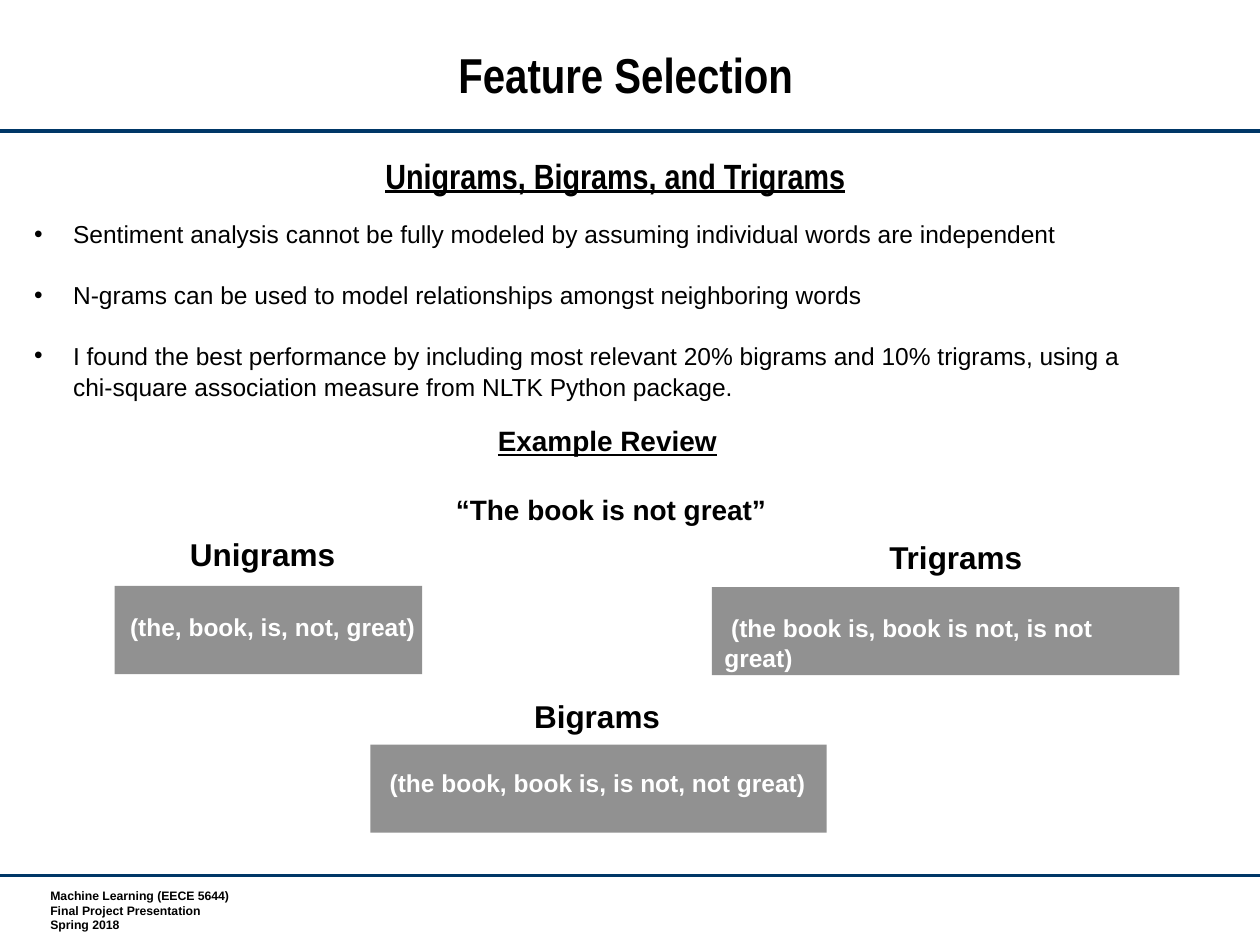
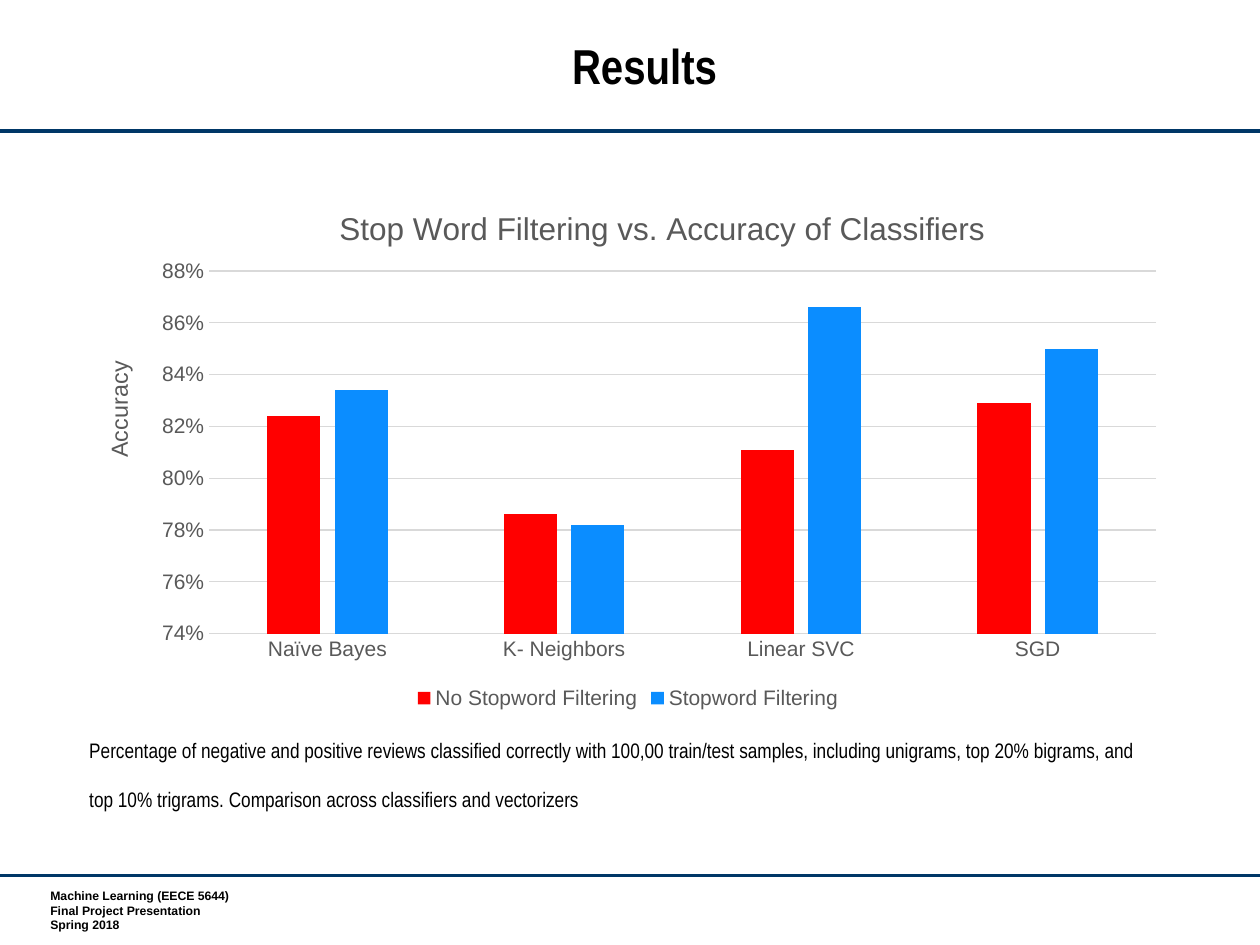
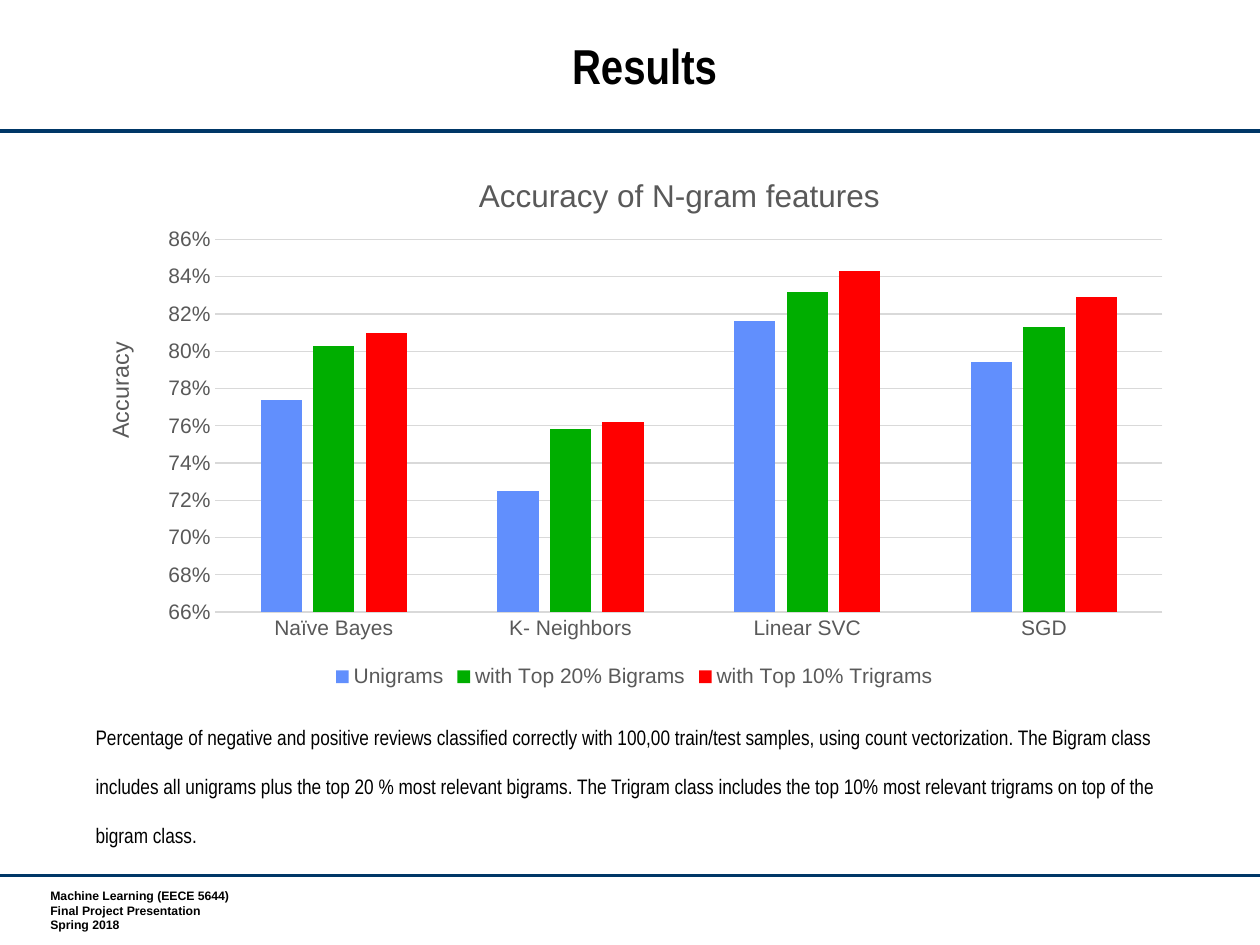
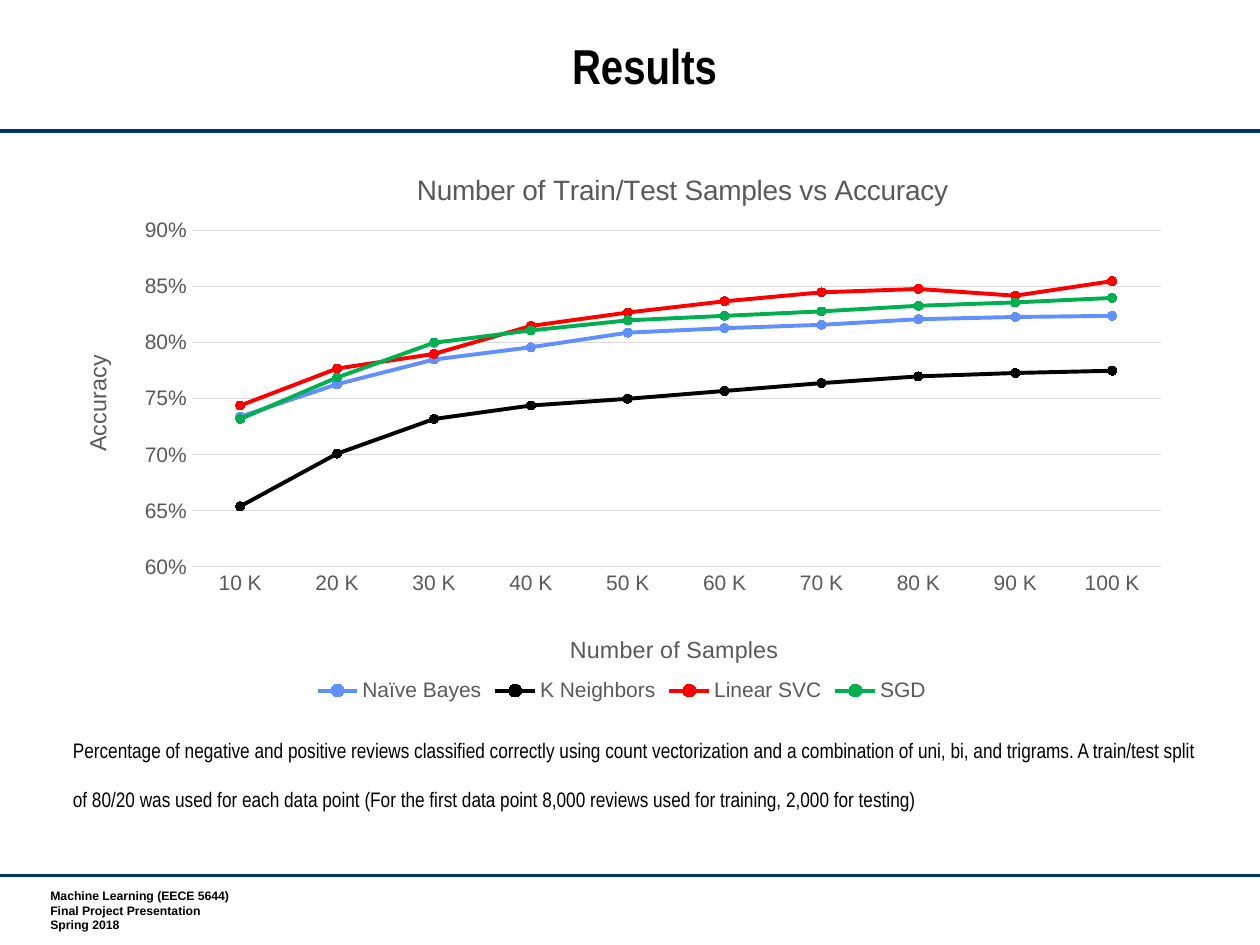
from lxml import etree
from pptx import Presentation
from pptx.chart.data import CategoryChartData
from pptx.dml.color import RGBColor
from pptx.enum.chart import XL_CHART_TYPE, XL_LEGEND_POSITION, XL_MARKER_STYLE, XL_TICK_MARK
from pptx.enum.shapes import MSO_CONNECTOR, MSO_SHAPE
from pptx.enum.text import MSO_ANCHOR, MSO_AUTO_SIZE, PP_ALIGN
from pptx.oxml.ns import qn
from pptx.util import Inches, Pt

BARS = XL_CHART_TYPE.COLUMN_CLUSTERED
LINES = XL_CHART_TYPE.LINE_MARKERS
BOTTOM = XL_LEGEND_POSITION.BOTTOM
ROUND = XL_MARKER_STYLE.CIRCLE
NO_TICK = XL_TICK_MARK.NONE
STRAIGHT = MSO_CONNECTOR.STRAIGHT
RECT = MSO_SHAPE.RECTANGLE
TOP, MIDDLE = MSO_ANCHOR.TOP, MSO_ANCHOR.MIDDLE
NO_FIT = MSO_AUTO_SIZE.NONE
LEFT, CENTER = PP_ALIGN.LEFT, PP_ALIGN.CENTER

HEX = {"navy": "003767", "black": "000000", "white": "FFFFFF", "box": "919191",
       "text": "595959", "grid": "D9D9D9", "red": "FF0000", "sky": "0B8DFF",
       "blue": "618FFD", "lime": "00AE00", "green": "00B050"}
SANS, NARROW = "Arial", "Arial Narrow"
TALL = {"line_spacing": Pt(28)}


def color(key):
    return RGBColor.from_string(HEX[key])


def put(item, values):
    for name, value in values.items():
        setattr(item, name, value)


def ink(font, size, key="black", name=SANS, **more):
    put(font, {"size": Pt(size), "name": name, "bold": False, **more})
    font.color.rgb = color(key)


def layout(node, index, frame, spot, inner=False):
    for old in node.findall(qn("c:layout")):
        node.remove(old)
    outer = etree.Element(qn("c:layout"))
    node.insert(index, outer)
    man = etree.SubElement(outer, qn("c:manualLayout"))
    left, top, width, height = frame
    values = {"xMode": "edge", "yMode": "edge",
              "x": (spot[0] - left) / width, "y": (spot[1] - top) / height}
    if inner:
        values = {"layoutTarget": "inner", **values,
                  "w": spot[2] / width, "h": spot[3] / height}
    for tag, value in values.items():
        text = value if isinstance(value, str) else f"{value:.3f}"
        etree.SubElement(man, qn("c:" + tag)).set("val", text)


class Deck:
    def __init__(self):
        self.prs = Presentation()
        put(self.prs, {"slide_width": Inches(10), "slide_height": Inches(7.5)})
        self.slide = None

    def start(self, title, spot, kind=5):
        self.slide = self.prs.slides.add_slide(self.prs.slide_layouts[kind])
        self.fill(self.slide.shapes.title, spot, [title], 28, anchor=MIDDLE,
                  para={"alignment": CENTER, **TALL}, name=NARROW, bold=True)

    def share(self, shape):
        self.prs.slide_master.shapes.element.append(shape.element)

    def rule(self, y):
        line = self.slide.shapes.add_connector(
            STRAIGHT, Inches(0), Inches(y), Inches(10), Inches(y))
        line.line.color.rgb = color("navy")
        line.line.width = Pt(1.75)
        etree.SubElement(line.element.spPr, qn("a:effectLst"))
        return line

    def fill(self, shape, spot, lines, size, anchor=TOP, wrap=True, para=None, **font):
        put(shape, dict(zip(("left", "top", "width", "height"), map(Inches, spot))))
        frame = shape.text_frame
        put(frame, {"word_wrap": wrap, "auto_size": NO_FIT, "vertical_anchor": anchor})
        for i, line in enumerate(lines):
            item = frame.paragraphs[0] if i == 0 else frame.add_paragraph()
            put(item, {"alignment": LEFT, "space_before": Pt(0), **(para or {})})
            run = item.add_run()
            run.text = line
            ink(run.font, size, **font)
        return shape

    def text(self, spot, lines, size, **style):
        box = self.slide.shapes.add_textbox(*map(Inches, spot))
        return self.fill(box, spot, lines, size, **style)

    def items(self, spot, lines):
        body = self.fill(self.slide.placeholders[1], spot, lines, 14,
                         para={"line_spacing": 1.05})
        for i, item in enumerate(body.text_frame.paragraphs):
            item.space_before = Pt(17 if i else 0)
            props = item._p.get_or_add_pPr()
            props.set("marL", str(Inches(0.31)))
            props.set("indent", str(-Inches(0.31)))

    def block(self, spot):
        box = self.slide.shapes.add_shape(RECT, *map(Inches, spot))
        box.shadow.inherit = False
        box.fill.solid()
        box.fill.fore_color.rgb = color("box")
        box.line.fill.background()

    def label(self, title, text, size, frame, spot):
        title.text_frame.text = text
        ink(title.text_frame.paragraphs[0].runs[0].font, size, "text")
        layout(title.element, 1, frame, spot)

    def chart(self, kind, frame, plot, title, spot, side, cats, rows, scale,
              size=18, below=None):
        data = CategoryChartData(number_format="0%")
        data.categories = cats
        for name, key, vals in rows:
            data.add_series(name, vals)
        chart = self.slide.shapes.add_chart(kind, *map(Inches, frame), data).chart
        ink(chart.font, 12, "text")
        put(chart, {"has_title": True, "has_legend": True})
        put(chart.legend, {"position": BOTTOM, "include_in_layout": False})
        ink(chart.legend.font, 12, "text")
        self.label(chart.chart_title, title, size, frame, spot)
        layout(chart.element.xpath(".//c:plotArea")[0], 0, frame, plot, True)

        cat, val = chart.category_axis, chart.value_axis
        for axis in (cat, val):
            put(axis, {"major_tick_mark": NO_TICK, "minor_tick_mark": NO_TICK})
            ink(axis.tick_labels.font, 12, "text")
        low, high, step = scale
        put(val, {"minimum_scale": low, "maximum_scale": high, "major_unit": step,
                  "has_major_gridlines": True})
        put(val.tick_labels, {"number_format": "0%", "number_format_is_linked": False})
        val.format.line.fill.background()
        for line in (cat.format.line, val.major_gridlines.format.line):
            line.color.rgb = color("grid")
            line.width = Pt(0.75)
        self.label(val.axis_title, "Accuracy", 13.3, frame, side)
        val.axis_title.element.xpath(".//a:bodyPr")[0].set("rot", "-5400000")
        if below:
            self.label(cat.axis_title, "Number of Samples", 13.3, frame, below)

        group = chart.plots[0]
        group.vary_by_categories = False
        if kind == BARS:
            put(group, {"gap_width": 219, "overlap": -27})
        for series, (name, key, vals) in zip(group.series, rows):
            fills = [series.format.fill]
            if kind == LINES:
                series.smooth = False
                series.format.line.color.rgb = color(key)
                series.format.line.width = Pt(2.25)
                mark = series.marker
                put(mark, {"style": ROUND, "size": 5})
                mark.format.line.color.rgb = color(key)
                fills = [mark.format.fill]
            for fill in fills:
                fill.solid()
                fill.fore_color.rgb = color(key)

    def note(self, spot, text):
        self.text(spot, [text], 12, anchor=MIDDLE, para=TALL, name=NARROW)


deck = Deck()

deck.start("Feature Selection", (0.84, 0.2, 8.25, 0.85), kind=1)
for y in (1.04, 6.95):
    deck.share(deck.rule(y))
foot = deck.text((0.35, 7.05, 2.24, 0.31),
                 ["Machine Learning (EECE 5644)", "Final Project Presentation", "Spring 2018"],
                 7, bold=True)
put(foot.text_frame, {"margin_left": Inches(0.05), "margin_top": 0,
                      "margin_right": 0, "margin_bottom": 0})
deck.share(foot)

deck.text((0.76, 0.94, 8.25, 0.85), ["Unigrams, Bigrams, and Trigrams"], 20, anchor=MIDDLE,
          para={"alignment": CENTER, **TALL}, name=NARROW, bold=True, underline=True)
deck.items((0.17, 1.68, 9.13, 1.75), [
    "Sentiment analysis cannot be fully modeled by assuming individual words are independent",
    "N-grams can be used to model relationships amongst neighboring words",
    "I found the best performance by including most relevant 20% bigrams and 10% trigrams, "
    "using a chi-square association measure from NLTK Python package."])

GRAMS = [
    ("Unigrams", (1.41, 4.2, 1.37), (0.91, 4.65, 2.44), (0.88, 4.81, 2.86),
     " (the, book, is, not, great)"),
    ("Trigrams", (6.96, 4.22, 1.27), (5.65, 4.66, 3.71), (5.65, 4.82, 3.71),
     " (the book is, book is not, is not great)"),
    ("Bigrams", (4.14, 5.48, 1.21), (2.94, 5.91, 3.62), (2.94, 6.05, 3.62),
     " (the book, book is, is not, not great)"),
]
for name, head, box, inside, words in GRAMS:
    deck.block((*box, 0.7))
    deck.text((*inside, 0.57), [words], 14, key="white", bold=True)
    deck.text((*head, 0.4), [name], 18, wrap=False, bold=True)
quote = deck.text((2.32, 3.3, 5, 0.91), ["Example Review", " “The book is not great”"], 16,
                  para={"alignment": CENTER, "line_spacing": 1.05}, bold=True)
first, last = quote.text_frame.paragraphs
first.runs[0].font.underline = True
last.space_before = Pt(19)

RESULTS = ("Results", (0.99, 0.13, 8.25, 0.85))
MODELS = ["Naïve Bayes", "K- Neighbors", "Linear SVC", "SGD"]

deck.start(*RESULTS)
deck.note((0.61, 5.59, 8.68, 0.92),
          "Percentage of negative and positive reviews classified correctly with 100,00 "
          "train/test samples, including unigrams, top 20% bigrams, and top 10% trigrams. "
          "Comparison across classifiers and vectorizers")
deck.chart(BARS, (0.61, 1.4, 8.75, 4.27), (1.66, 2.15, 7.52, 2.88),
           "Stop Word Filtering vs. Accuracy of Classifiers", (2.65, 1.6), (0.79, 2.83),
           MODELS, [
               ("No Stopword Filtering", "red", (0.824, 0.786, 0.811, 0.829)),
               ("Stopword Filtering", "sky", (0.834, 0.782, 0.866, 0.85)),
           ], (0.74, 0.88, 0.02))

deck.start(*RESULTS)
deck.chart(BARS, (0.66, 1.2, 8.75, 4.3), (1.71, 1.9, 7.52, 2.96),
           "Accuracy of N-gram features", (3.76, 1.34), (0.8, 2.68),
           MODELS, [
               ("Unigrams", "blue", (0.774, 0.725, 0.816, 0.794)),
               ("with Top 20% Bigrams", "lime", (0.803, 0.758, 0.832, 0.813)),
               ("with Top 10% Trigrams", "red", (0.81, 0.762, 0.843, 0.829)),
           ], (0.66, 0.86, 0.02))
deck.note((0.66, 5.72, 8.75, 0.85),
          "Percentage of negative and positive reviews classified correctly with 100,00 "
          "train/test samples, using count vectorization. The Bigram class includes all "
          "unigrams plus the top 20 % most relevant bigrams. The Trigram class includes the "
          "top 10% most relevant trigrams on top of the bigram class.")

deck.start(*RESULTS)
deck.chart(LINES, (0.48, 1.17, 8.91, 4.44), (1.52, 1.83, 7.69, 2.67),
           "Number of Train/Test Samples vs Accuracy", (3.27, 1.33), (0.62, 2.78),
           [f"{n} K" for n in range(10, 101, 10)], [
               ("Naïve Bayes", "blue",
                (0.734, 0.763, 0.785, 0.796, 0.809, 0.813, 0.816, 0.821, 0.823, 0.824)),
               ("K Neighbors", "black",
                (0.654, 0.701, 0.732, 0.744, 0.75, 0.757, 0.764, 0.77, 0.773, 0.775)),
               ("Linear SVC", "red",
                (0.744, 0.777, 0.79, 0.815, 0.827, 0.837, 0.845, 0.848, 0.842, 0.855)),
               ("SGD", "green",
                (0.732, 0.769, 0.8, 0.811, 0.82, 0.824, 0.828, 0.833, 0.836, 0.84)),
           ], (0.6, 0.9, 0.05), size=16, below=(4.49, 5))
deck.note((0.48, 5.63, 9.15, 0.85),
          "Percentage of negative and positive reviews classified correctly using count "
          "vectorization and a combination of uni, bi, and trigrams. A train/test split of "
          "80/20 was used for each data point (For the first data point 8,000 reviews used "
          "for training, 2,000 for testing)")

deck.prs.save("out.pptx")
